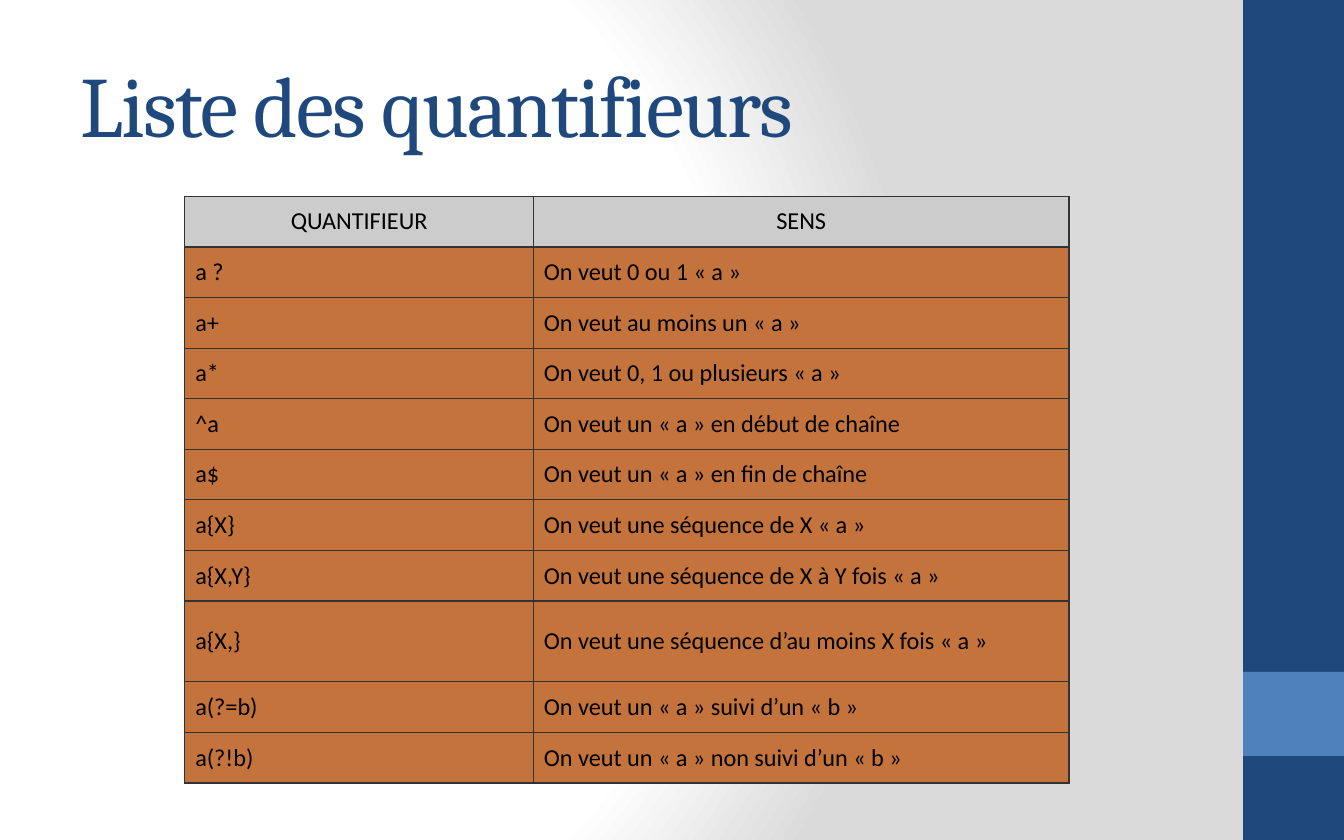
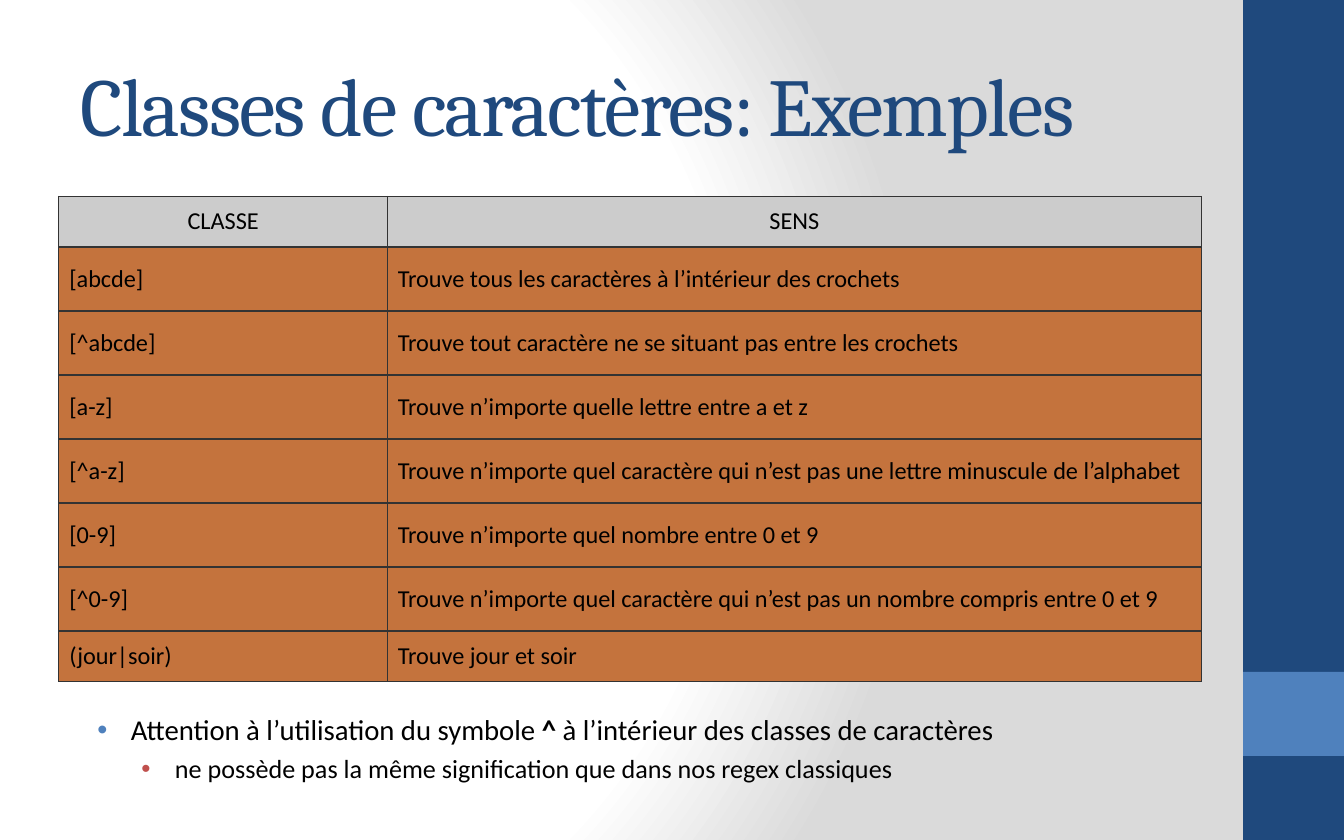
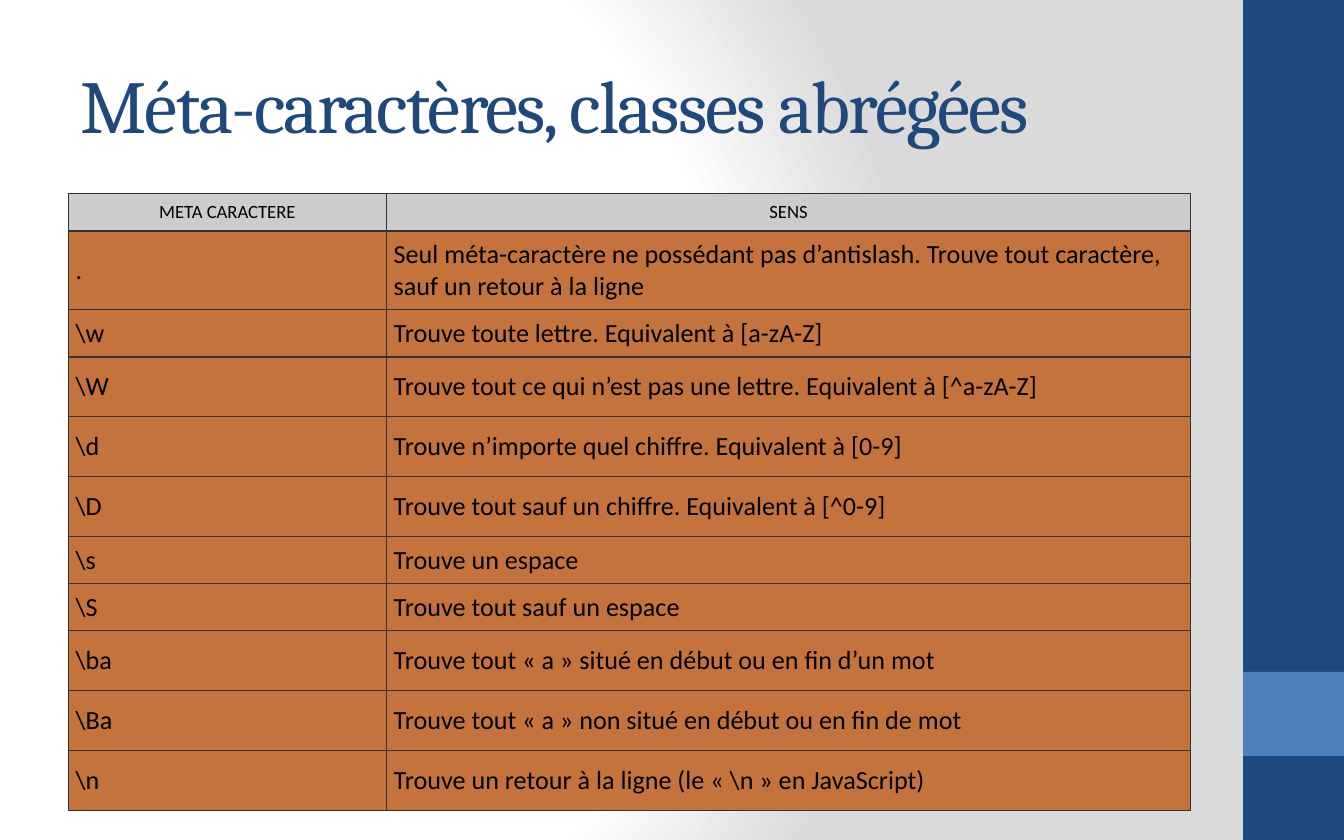
"""Builds three slides of regular-expression reference tables."""
import lxml.etree
import pptx
import pptx.dml.color
import pptx.enum.shapes
import pptx.enum.text
import pptx.oxml
import pptx.oxml.ns
import pptx.util

PX_PER_INCH = 128
COLORS = {
    "navy": "1F497D", "blue": "4F81BD", "red": "C0504D", "white": "FFFFFF",
    "mist": "DADADA", "header": "CCCCCC", "row": "C4733D", "border": "333333",
    "text": "000000",
}
ALIGN = pptx.enum.text.PP_ALIGN
MIDDLE = pptx.enum.text.MSO_ANCHOR.MIDDLE


def px(length):
    return pptx.util.Emu(round(length * pptx.util.Inches(1) / PX_PER_INCH))


def rgb(name):
    return pptx.dml.color.RGBColor.from_string(COLORS[name])


def fragment(tag, body="", attributes=""):
    declared = pptx.oxml.ns.nsdecls("a", "p")
    return pptx.oxml.parse_xml(f"<{tag} {declared} {attributes}>{body}</{tag}>")


def solid(name):
    return f'<a:solidFill><a:srgbClr val="{COLORS[name]}"/></a:solidFill>'


def write(para, text, size=13, font="Calibri", color="text", bold=False,
          align=ALIGN.LEFT, tracking=0):
    para.alignment = align
    span = para.add_run()
    span.text = text
    span.font.size = pptx.util.Pt(size)
    span.font.name = font
    span.font.bold = bold
    span.font.color.rgb = rgb(color)
    if tracking:
        span.font._element.set("spc", str(tracking * 100))


class Lesson:
    def __init__(self):
        self.deck = pptx.Presentation()
        self.deck.slide_width, self.deck.slide_height = px(1280), px(800)
        self.layout = self.deck.slide_layouts.get_by_name("Title Only")
        self.page = None
        self.background()

    def background(self):
        stops = "".join(
            f'<a:gs pos="{position * 1000}"><a:srgbClr val="{COLORS[name]}"/></a:gs>'
            for position, name in ((0, "white"), (75, "white"), (100, "mist")))
        gradient = (
            f'<p:bgPr><a:gradFill rotWithShape="1"><a:gsLst>{stops}</a:gsLst>'
            '<a:path path="circle"><a:fillToRect l="20000" t="50000" r="100000" b="50000"/>'
            '</a:path></a:gradFill><a:effectLst/></p:bgPr>')
        self.layout._element.cSld.insert(0, fragment("p:bg", gradient))

    def shared_band(self, top, height, color):
        band = self.page.shapes.add_shape(
            pptx.enum.shapes.MSO_SHAPE.RECTANGLE, px(1184), px(top), px(96), px(height))
        band.shadow.inherit = False
        band.fill.solid()
        band.fill.fore_color.rgb = rgb(color)
        band.line.fill.background()
        self.layout.shapes._spTree.append(band._element)

    def start(self, title, size):
        first = self.page is None
        self.page = self.deck.slides.add_slide(self.layout)
        if first:
            self.shared_band(0, 800, "navy")
            self.shared_band(640, 80, "blue")
        box = self.page.shapes.title
        box.left, box.top, box.width, box.height = px(64), px(32), px(1066), px(133)
        box.text_frame.vertical_anchor = MIDDLE
        box.text_frame.auto_size = pptx.enum.text.MSO_AUTO_SIZE.NONE
        write(box.text_frame.paragraphs[0], title, size=size, font="Cambria",
              color="navy", tracking=-1)

    def cell(self, cell, text, inset, fill, **style):
        cell.margin_left = cell.margin_right = px(inset)
        cell.margin_top = cell.margin_bottom = px(inset)
        cell.vertical_anchor = MIDDLE
        properties = cell._tc.get_or_add_tcPr()
        for side in "LRTB":
            properties.append(fragment(f"a:ln{side}", solid("border"), 'w="9525"'))
        cell.fill.solid()
        cell.fill.fore_color.rgb = rgb(fill)
        write(cell.text_frame.paragraphs[0], text, **style)

    def table(self, left, top, widths, heights, rows, inset=10, header_size=13, size=13):
        table = self.page.shapes.add_table(
            len(rows), len(widths), px(left), px(top),
            px(sum(widths)), px(sum(heights))).table
        table.first_row = table.horz_banding = False
        for column, width in zip(table.columns, widths):
            column.width = px(width)
        for index, (row, height) in enumerate(zip(table.rows, heights)):
            row.height = px(height)
            for cell, text in zip(row.cells, rows[index]):
                if index == 0:
                    self.cell(cell, text, inset, "header", size=header_size,
                              align=ALIGN.CENTER)
                else:
                    self.cell(cell, text, inset, "row", size=size)

    def bullets(self, left, top, width, height, items):
        frame = self.page.shapes.add_textbox(
            px(left), px(top), px(width), px(height)).text_frame
        frame.word_wrap = True
        for index, (level, indent, color, size, spans) in enumerate(items):
            para = frame.paragraphs[0] if index == 0 else frame.add_paragraph()
            para.level = level
            para.space_before = pptx.util.Pt(3)
            for text, bold in spans:
                write(para, text, size=size, bold=bold)
            properties = para._p.get_or_add_pPr()
            properties.set("marL", str(px(indent)))
            properties.set("indent", str(px(-32)))
            properties.append(
                fragment("a:buClr", f'<a:srgbClr val="{COLORS[color]}"/>'))
            properties.append(fragment("a:buFont", attributes='typeface="Arial"'))
            properties.append(fragment("a:buChar", attributes='char="•"'))


def main():
    lesson = Lesson()

    lesson.start("Liste des quantifieurs", 46)
    lesson.table(176, 187, [332, 510], [48] * 8 + [77] + [48] * 2, [
        ("QUANTIFIEUR", "SENS"),
        ("a ?", "On veut 0 ou 1 « a »"),
        ("a+", "On veut au moins un « a »"),
        ("a*", "On veut 0, 1 ou plusieurs « a »"),
        ("^a", "On veut un « a » en début de chaîne"),
        ("a$", "On veut un « a » en fin de chaîne"),
        ("a{X}", "On veut une séquence de X « a »"),
        ("a{X,Y}", "On veut une séquence de X à Y fois « a »"),
        ("a{X,}", "On veut une séquence d’au moins X fois « a »"),
        ("a(?=b)", "On veut un « a » suivi d’un « b »"),
        ("a(?!b)", "On veut un « a » non suivi d’un « b »"),
    ])

    lesson.start("Classes de caractères: Exemples", 44)
    lesson.table(56, 187, [313, 775], [48] + [61] * 6 + [48], [
        ("CLASSE", "SENS"),
        ("[abcde]", "Trouve tous les caractères à l’intérieur des crochets"),
        ("[^abcde]", "Trouve tout caractère ne se situant pas entre les crochets"),
        ("[a-z]", "Trouve n’importe quelle lettre entre a et z"),
        ("[^a-z]", "Trouve n’importe quel caractère qui n’est pas une lettre "
                   "minuscule de l’alphabet"),
        ("[0-9]", "Trouve n’importe quel nombre entre 0 et 9"),
        ("[^0-9]", "Trouve n’importe quel caractère qui n’est pas un nombre "
                   "compris entre 0 et 9"),
        ("(jour|soir)", "Trouve jour et soir"),
    ])
    lesson.bullets(64, 672, 1066, 74, [
        (0, 48, "blue", 15.4, [
            ("Attention à l’utilisation du symbole ", False),
            ("^", True),
            (" à l’intérieur des classes de caractères", False)]),
        (1, 90, "red", 14, [
            ("ne possède pas la même signification que dans nos regex classiques",
             False)]),
    ])

    lesson.start("Méta-caractères, classes abrégées", 40)
    heights = [36, 75, 45] + [57] * 3 + [45] * 2 + [57] * 3
    lesson.table(65, 184, [303, 766], heights, [
        ("META CARACTERE", "SENS"),
        (".", "Seul méta-caractère ne possédant pas d’antislash. "
              "Trouve tout caractère, sauf un retour à la ligne"),
        (r"\w", "Trouve toute lettre. Equivalent à [a-zA-Z]"),
        (r"\W", "Trouve tout ce qui n’est pas une lettre. Equivalent à [^a-zA-Z]"),
        (r"\d", "Trouve n’importe quel chiffre. Equivalent à [0-9]"),
        (r"\D", "Trouve tout sauf un chiffre. Equivalent à [^0-9]"),
        (r"\s", "Trouve un espace"),
        (r"\S", "Trouve tout sauf un espace"),
        (r"\ba", "Trouve tout « a » situé en début ou en fin d’un mot"),
        (r"\Ba", "Trouve tout « a » non situé en début ou en fin de mot"),
        (r"\n", r"Trouve un retour à la ligne (le « \n » en JavaScript)"),
    ], inset=7, header_size=10, size=14)

    lesson.deck.save("out.pptx")


if __name__ == "__main__":
    main()
